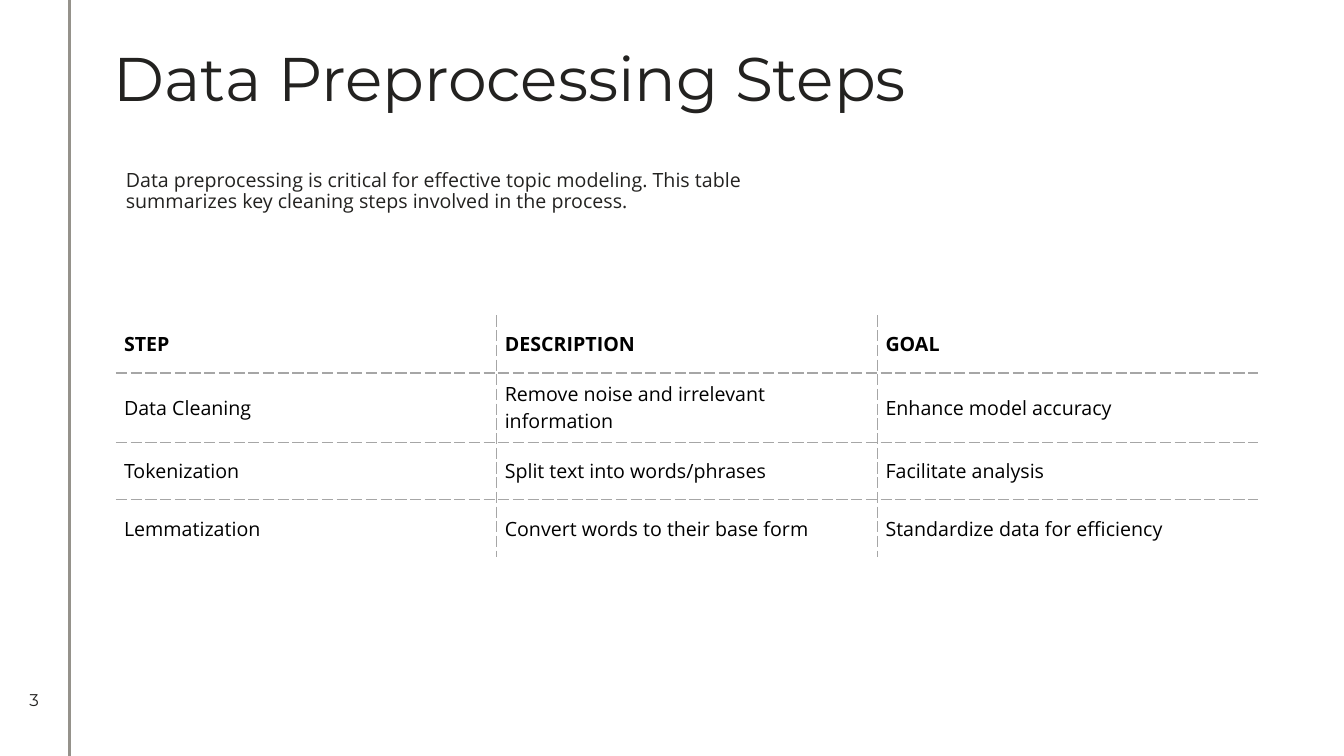
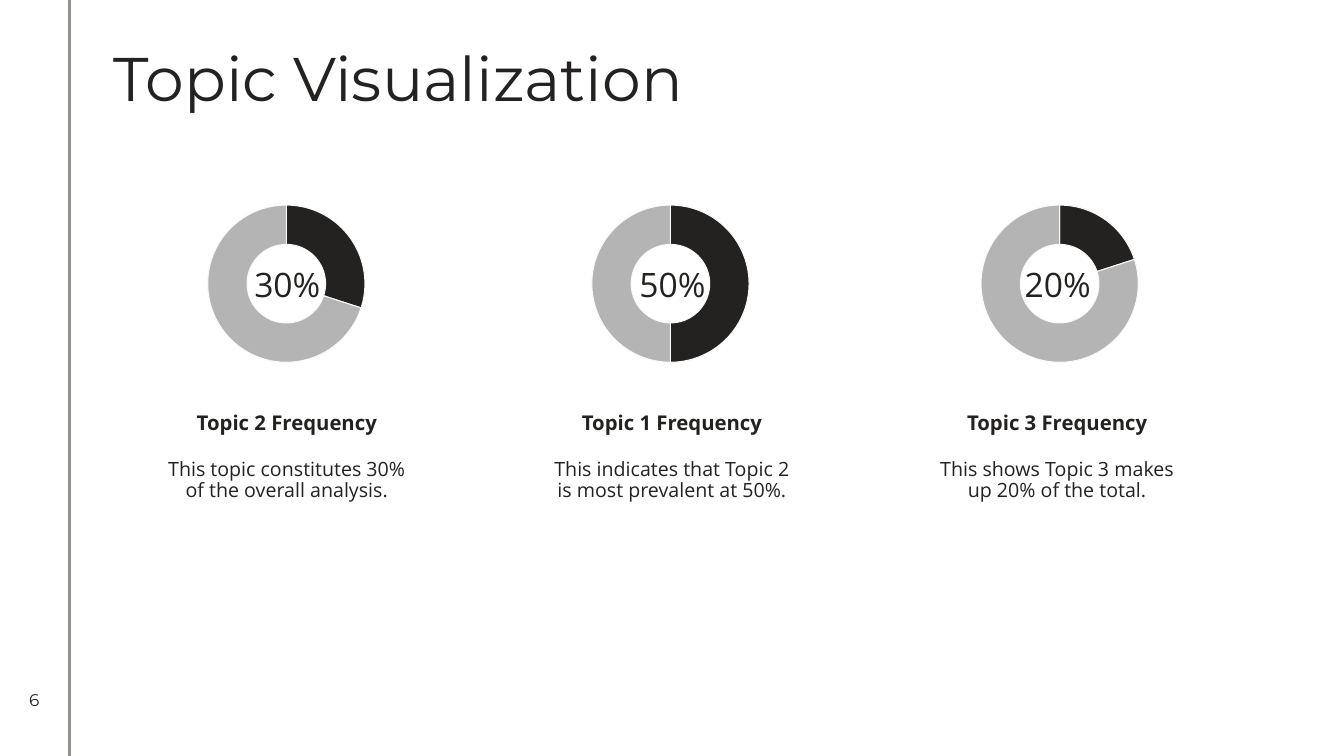
from lxml import etree
from pptx import Presentation
from pptx.chart.data import CategoryChartData
from pptx.dml.color import RGBColor
from pptx.enum.chart import XL_CHART_TYPE
from pptx.enum.shapes import MSO_CONNECTOR
from pptx.enum.text import MSO_ANCHOR, PP_ALIGN
from pptx.oxml import parse_xml
from pptx.oxml.ns import nsdecls, qn
from pptx.util import Inches, Pt

DOUGHNUT = XL_CHART_TYPE.DOUGHNUT
STRAIGHT = MSO_CONNECTOR.STRAIGHT
TOP, MIDDLE, BOTTOM = MSO_ANCHOR.TOP, MSO_ANCHOR.MIDDLE, MSO_ANCHOR.BOTTOM
LEFT, CENTER = PP_ALIGN.LEFT, PP_ALIGN.CENTER

COLORS = {
    "ink": "232220",
    "black": "000000",
    "rule": "95928B",
    "grid": "A6A6A6",
    "rest": "B5B4B4",
    "edge": "F9F9F9",
}
HEADING_FONT = "Montserrat"
BODY_FONT = "Open Sans"

STEPS = [
    ("STEP", "DESCRIPTION", "GOAL"),
    ("Data Cleaning", "Remove noise and irrelevant information", "Enhance model accuracy"),
    ("Tokenization", "Split text into words/phrases", "Facilitate analysis"),
    ("Lemmatization", "Convert words to their base form", "Standardize data for efficiency"),
]
ROW_HEIGHTS = [0.57, 0.69, 0.57, 0.57]

TOPICS = [
    (30, 1.72, "Topic 2 Frequency", "This topic constitutes 30% of the overall analysis."),
    (50, 5.53, "Topic 1 Frequency", "This indicates that Topic 2 is most prevalent at 50%."),
    (20, 9.39, "Topic 3 Frequency", "This shows Topic 3 makes up 20% of the total."),
]
TOPIC_LEFT, TOPIC_PITCH, TOPIC_WIDTH = 1.54, 3.82, 2.61
CHART_WIDTH, CHART_HEIGHT, RING = 2.24, 1.83, 1.56


def rgb(name):
    return RGBColor.from_string(COLORS[name])


def write(frame, text, size=14, font=BODY_FONT, color="ink", bold=False,
          align=LEFT, anchor=TOP, spacing=1.0):
    frame.word_wrap = True
    frame.vertical_anchor = anchor
    paragraph = frame.paragraphs[0]
    paragraph.alignment = align
    paragraph.line_spacing = spacing
    run = paragraph.add_run()
    run.text = text
    run.font.size = Pt(size)
    run.font.name = font
    run.font.bold = bold
    run.font.color.rgb = rgb(color)


class Deck:
    """Holds the shared style and the slide being built."""

    def __init__(self):
        self.presentation = Presentation()
        self.presentation.slide_width = Inches(13.33)
        self.presentation.slide_height = Inches(7.5)
        self.slide = None

    def start(self, title, number):
        self.slide = self.presentation.slides.add_slide(self.presentation.slide_layouts[6])
        self.rule(0.69)
        heading = self.text(title, 1.03, 0.33, 11.26, 0.93, size=44, font=HEADING_FONT)
        heading.text_frame.margin_top = Inches(0.07)
        self.text(str(number), 0, 6.75, 0.68, 0.39, size=12.1, font=HEADING_FONT,
                  align=CENTER, anchor=MIDDLE)

    def rule(self, left):
        line = self.slide.shapes.add_connector(
            STRAIGHT, Inches(left), 0, Inches(left), self.presentation.slide_height)
        line.line.color.rgb = rgb("rule")
        line.line.width = Pt(1.5)
        etree.SubElement(line._element.spPr, qn("a:effectLst"))

    def text(self, text, left, top, width, height, **style):
        box = self.slide.shapes.add_textbox(
            Inches(left), Inches(top), Inches(width), Inches(height))
        write(box.text_frame, text, **style)
        return box

    def border(self, cell, side, visible):
        paint = '<a:noFill/>'
        if visible:
            paint = (f'<a:solidFill><a:srgbClr val="{COLORS["grid"]}"/></a:solidFill>'
                     '<a:prstDash val="sysDash"/>')
        cell._tc.get_or_add_tcPr().append(parse_xml(
            f'<a:ln{side} {nsdecls("a")} w="{Pt(1)}">{paint}</a:ln{side}>'))

    def table(self, rows, heights, left, top, width):
        last_row, last_column = len(rows) - 1, len(rows[0]) - 1
        table = self.slide.shapes.add_table(
            len(rows), len(rows[0]), Inches(left), Inches(top),
            Inches(width), Inches(sum(heights))).table
        table.first_row = table.horz_banding = False
        for row_index, values in enumerate(rows):
            table.rows[row_index].height = Inches(heights[row_index])
            for column_index, value in enumerate(values):
                cell = table.cell(row_index, column_index)
                cell.margin_left = cell.margin_right = Inches(0.08)
                cell.margin_top = cell.margin_bottom = Inches(0.08)
                self.border(cell, "L", column_index > 0)
                self.border(cell, "R", column_index < last_column)
                self.border(cell, "T", row_index > 0)
                self.border(cell, "B", row_index < last_row)
                cell.fill.background()
                write(cell.text_frame, value, color="black", bold=row_index == 0)
                cell.vertical_anchor = MIDDLE

    def doughnut(self, share, left, top):
        data = CategoryChartData()
        data.categories = ["1", "2"]
        data.add_series("Series 1", [share, 100 - share])
        chart = self.slide.shapes.add_chart(
            DOUGHNUT, Inches(left), Inches(top),
            Inches(CHART_WIDTH), Inches(CHART_HEIGHT), data).chart
        chart.has_legend = chart.has_title = False
        chart.font.size = Pt(10)
        chart.font.name = BODY_FONT
        chart.font.color.rgb = rgb("ink")
        plot = chart.plots[0]
        plot.vary_by_categories = False
        for index, color in enumerate(("ink", "rest")):
            point = plot.series[0].points[index]
            point.format.fill.solid()
            point.format.fill.fore_color.rgb = rgb(color)
            point.format.line.color.rgb = rgb("edge")
            point.format.line.width = Pt(0.75)
        self.ring_layout(chart)

    def ring_layout(self, chart):
        area = chart._chartSpace.find(".//" + qn("c:plotArea"))
        area.find(".//" + qn("c:holeSize")).set("val", "90")
        for layout in area.findall(qn("c:layout")):
            area.remove(layout)
        width, height = RING / CHART_WIDTH, RING / CHART_HEIGHT
        settings = [("layoutTarget", "inner"), ("xMode", "edge"), ("yMode", "edge"),
                    ("x", (1 - width) / 2), ("y", (1 - height) / 2),
                    ("w", width), ("h", height)]
        content = "".join(f'<c:{tag} val="{value}"/>' for tag, value in settings)
        area.insert(0, parse_xml(
            f'<c:layout {nsdecls("c")}><c:manualLayout>{content}</c:manualLayout></c:layout>'))

    def topic(self, index, share, chart_left, caption, description):
        left = TOPIC_LEFT + index * TOPIC_PITCH
        self.doughnut(share, chart_left, 1.9)
        self.text(f"{share}%", left + 0.81, 2.57, 1, 0.5, size=24,
                  align=CENTER, anchor=MIDDLE)
        self.text(caption, left, 3.85, TOPIC_WIDTH, 0.51, size=14.5, bold=True,
                  align=CENTER, anchor=BOTTOM, spacing=0.9)
        self.text(description, left, 4.51, TOPIC_WIDTH, 2.61, align=CENTER, spacing=0.9)


def main():
    deck = Deck()

    deck.start("Data Preprocessing Steps", 3)
    deck.text("Data preprocessing is critical for effective topic modeling. "
              "This table summarizes key cleaning steps involved in the process.",
              1.15, 1.47, 6.6, 0.86, anchor=MIDDLE, spacing=0.9)
    deck.table(STEPS, ROW_HEIGHTS, 1.15, 3.13, 11.33)

    deck.start("Topic Visualization", 6)
    for index, topic in enumerate(TOPICS):
        deck.topic(index, *topic)

    deck.presentation.save("out.pptx")


if __name__ == "__main__":
    main()
